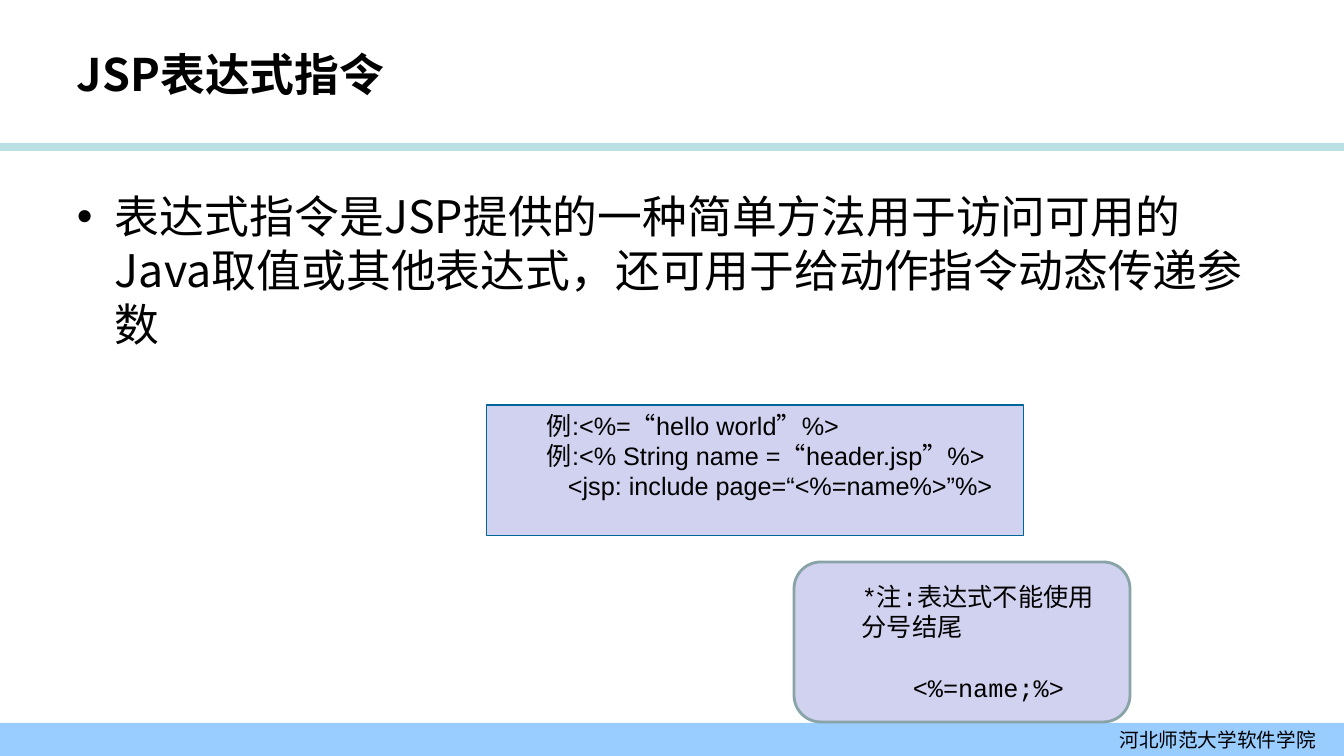
from dataclasses import dataclass

from pptx import Presentation
from pptx.dml.color import RGBColor
from pptx.enum import shapes, text
from pptx.oxml import ns
from pptx import util as u
from lxml import etree

PX = 9072
BLACK = RGBColor(0x00, 0x00, 0x00)
TEAL = RGBColor(0xBB, 0xE0, 0xE3)
SKY = RGBColor(0x99, 0xCC, 0xFF)
LAVENDER = RGBColor(0xD1, 0xD1, 0xF0)
NAVY = RGBColor(0x00, 0x66, 0x99)
SAGE = RGBColor(0x89, 0xA4, 0xA7)
CJK = "Noto Sans CJK SC"
LEFT, RIGHT = text.PP_ALIGN.LEFT, text.PP_ALIGN.RIGHT
TOP, MIDDLE = text.MSO_ANCHOR.TOP, text.MSO_ANCHOR.MIDDLE
RECTANGLE = shapes.MSO_SHAPE.RECTANGLE
ROUNDED = shapes.MSO_SHAPE.FLOWCHART_ALTERNATE_PROCESS


@dataclass(frozen=True)
class Line:
    words: str
    indent: int = 0
    hanging: int = 0
    gap: float = 0


@dataclass(frozen=True)
class Style:
    size: int
    font: str = CJK
    bold: bool = False
    align: text.PP_ALIGN = LEFT
    anchor: text.MSO_ANCHOR = MIDDLE
    right_inset: int = 10


@dataclass(frozen=True)
class Panel:
    at: tuple[int, int, int, int]
    fill: RGBColor
    kind: shapes.MSO_SHAPE = RECTANGLE
    outline: RGBColor | None = None
    width: float = 0
    lines: tuple[Line, ...] = ()
    style: Style = Style(18)


PANELS = (
    Panel((0, 143, 1344, 8), TEAL),
    Panel((0, 723, 1344, 33), SKY,
          lines=(Line("河北师范大学软件学院"),),
          style=Style(14, align=RIGHT, right_inset=28)),
    Panel((487, 405, 537, 131), LAVENDER, outline=NAVY, width=0.75,
          lines=(Line("例:<%=“hello world”%>", 50),
                 Line("例:<% String name =“header.jsp”%>", 50),
                 Line("<jsp: include page=“<%=name%>”%>", 71)),
          style=Style(18, "Arial", anchor=TOP)),
    Panel((794, 562, 336, 160), LAVENDER, ROUNDED, SAGE, 2,
          lines=(Line("*注:表达式不能使用分号结尾", 50),
                 Line("<%=name;%>", 101, gap=22)),
          style=Style(18, "Courier New")),
)


def place(box, at: tuple[int, int, int, int]) -> None:
    box.left, box.top, box.width, box.height = (side * PX for side in at)


def write(box, lines: tuple[Line, ...], style: Style) -> None:
    frame = box.text_frame
    frame.word_wrap = True
    frame.auto_size = text.MSO_AUTO_SIZE.NONE
    frame.vertical_anchor = style.anchor
    frame.margin_left, frame.margin_right = 10 * PX, style.right_inset * PX
    frame.margin_top = frame.margin_bottom = 5 * PX
    frame.text = "\n".join(line.words for line in lines)
    for para, line in zip(frame.paragraphs, lines):
        para.alignment = style.align
        para.space_before = u.Pt(line.gap)
        properties = para._p.get_or_add_pPr()
        properties.set("marL", str(line.indent * PX))
        properties.set("indent", str(-line.hanging * PX))
        for span in para.runs:
            span.font.name = style.font
            span.font.size = u.Pt(style.size)
            span.font.bold = style.bold
            span.font.color.rgb = BLACK
            east_asian = etree.SubElement(span.font._element, ns.qn("a:ea"))
            east_asian.set("typeface", CJK)


def draw(page, panel: Panel) -> None:
    box = page.shapes.add_shape(panel.kind, *(side * PX for side in panel.at))
    box.shadow.inherit = False
    box.fill.solid()
    box.fill.fore_color.rgb = panel.fill
    if panel.outline is None:
        box.line.fill.background()
    else:
        box.line.color.rgb = panel.outline
        box.line.width = u.Pt(panel.width)
    if panel.lines:
        write(box, panel.lines, panel.style)


def main() -> None:
    deck = Presentation()
    deck.slide_width, deck.slide_height = 1344 * PX, 756 * PX
    page = deck.slides.add_slide(deck.slide_layouts[1])
    title, body = page.placeholders
    place(title, (67, 30, 1075, 88))
    write(title, (Line("JSP表达式指令"),), Style(32, bold=True))
    place(body, (67, 184, 1192, 481))
    write(body, (Line("表达式指令是JSP提供的一种简单方法用于访问可用的Java取值或其他表达式，"
                      "还可用于给动作指令动态传递参数", 38, 38, 8),),
          Style(32, anchor=TOP))
    for panel in PANELS:
        draw(page, panel)
    deck.save("out.pptx")


if __name__ == "__main__":
    main()
